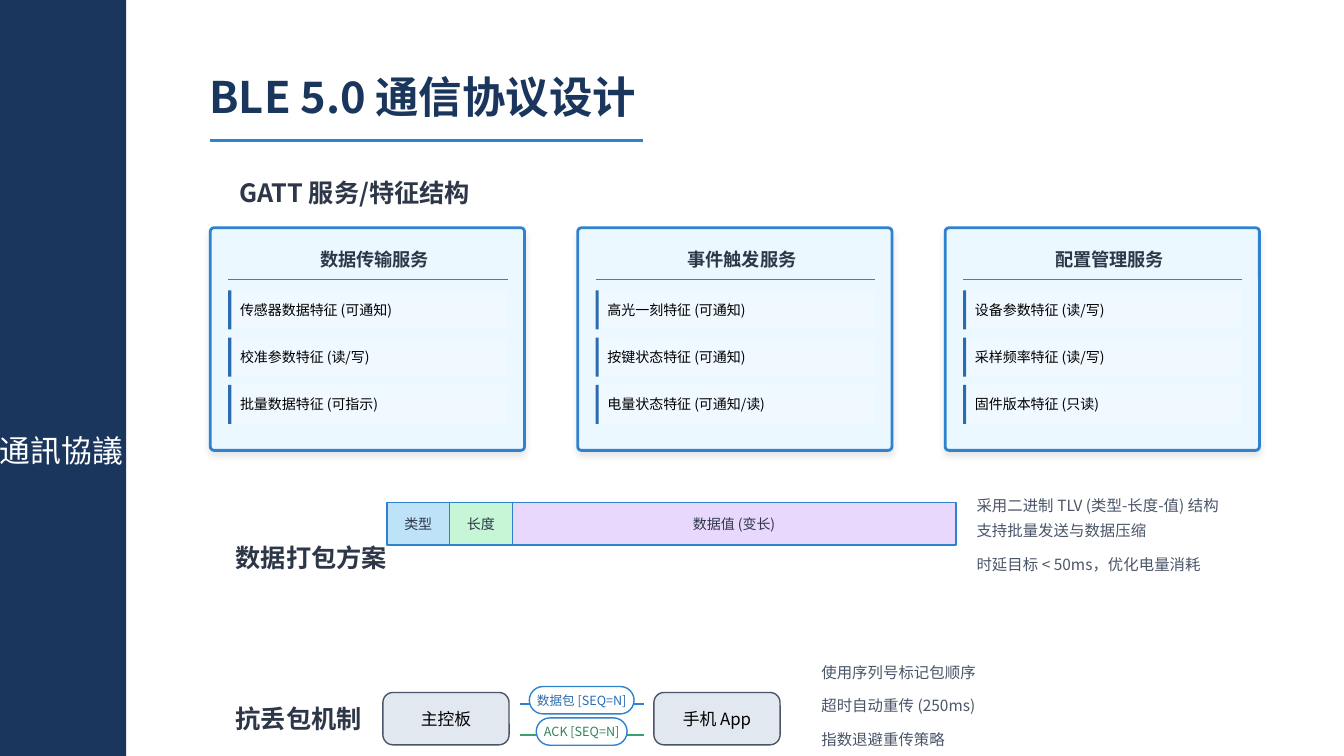
from lxml import etree
from pptx import Presentation
from pptx.dml.color import RGBColor
from pptx.enum.shapes import MSO_CONNECTOR, MSO_SHAPE
from pptx.enum.text import MSO_ANCHOR, MSO_AUTO_SIZE, PP_ALIGN
from pptx.oxml.ns import qn
from pptx.util import Cm, Pt

RECT, ROUNDED = MSO_SHAPE.RECTANGLE, MSO_SHAPE.ROUNDED_RECTANGLE
STRAIGHT = MSO_CONNECTOR.STRAIGHT
LEFT, CENTER = PP_ALIGN.LEFT, PP_ALIGN.CENTER
TOP, MIDDLE = MSO_ANCHOR.TOP, MSO_ANCHOR.MIDDLE
NO_AUTOFIT = MSO_AUTO_SIZE.NONE
FONT = "Noto Sans CJK SC"
COLORS = {
    "navy": "1A365D", "blue": "3182CE", "deep_blue": "2B6CB0",
    "green": "38A169", "deep_green": "2F855A", "ink": "2D3748",
    "gray": "4A5568", "black": "000000", "white": "FFFFFF",
    "card": "EBF8FF", "item": "F0F9FF", "node": "E2E8F0",
    "type": "BEE3F8", "length": "C6F6D5", "value": "E9D8FD",
}
SERVICES = [
    ("数据传输服务", ["传感器数据特征 (可通知)", "校准参数特征 (读/写)", "批量数据特征 (可指示)"]),
    ("事件触发服务", ["高光一刻特征 (可通知)", "按键状态特征 (可通知)", "电量状态特征 (可通知/读)"]),
    ("配置管理服务", ["设备参数特征 (读/写)", "采样频率特征 (读/写)", "固件版本特征 (只读)"]),
]
TLV_FIELDS = [("类型", 1.58, "type"), ("长度", 1.58, "length"), ("数据值 (变长)", 11.18, "value")]
# Each note has its space before in points.
PACKING_NOTES = [("采用二进制 TLV (类型-长度-值) 结构", 0), ("支持批量发送与数据压缩", 5),
                 ("时延目标 < 50ms，优化电量消耗", 11)]
RESEND_NOTES = [("使用序列号标记包顺序", 0), ("超时自动重传 (250ms)", 11), ("指数退避重传策略", 11)]


def rgb(name):
    return RGBColor.from_string(COLORS[name])


def place(shape, left, top, width, height):
    shape.left, shape.top, shape.width, shape.height = Cm(left), Cm(top), Cm(width), Cm(height)


def prepare_frame(shape, anchor=MIDDLE, margin_left=0, margin_top=0, wrap=True):
    frame = shape.text_frame
    frame.auto_size = NO_AUTOFIT
    frame.word_wrap = wrap
    frame.vertical_anchor = anchor
    frame.margin_left, frame.margin_top = Cm(margin_left), Cm(margin_top)
    frame.margin_right = frame.margin_bottom = 0
    return frame


def style(para, size, color, bold=False, align=LEFT):
    para.alignment = align
    font = para.font
    font.name, font.size, font.bold = FONT, Pt(size), bold
    font.color.rgb = rgb(color)
    latin = para._p.pPr.find(qn("a:defRPr")).find(qn("a:latin"))
    east_asian = etree.Element(qn("a:ea"), typeface=FONT)
    latin.addnext(east_asian)


def write(shape, text, size, color, bold=False, align=LEFT, **frame_options):
    para = prepare_frame(shape, **frame_options).paragraphs[0]
    para.text = text
    style(para, size, color, bold, align)


def add_block(page, kind, box, fill, line=None, weight=1, radius=None):
    """Add a flat filled shape; radius is the rounding adjustment."""
    shape = page.shapes.add_shape(kind, *map(Cm, box))
    shape.shadow.inherit = False
    shape.fill.solid()
    shape.fill.fore_color.rgb = rgb(fill)
    if line:
        shape.line.color.rgb = rgb(line)
        shape.line.width = Pt(weight)
    else:
        shape.line.fill.background()
    if radius is not None:
        shape.adjustments[0] = radius
    return shape


def add_rule(page, left, top, width, color, weight):
    rule = page.shapes.add_connector(STRAIGHT, Cm(left), Cm(top), Cm(left + width), Cm(top))
    rule.line.color.rgb = rgb(color)
    rule.line.width = Pt(weight)
    etree.SubElement(rule._element.spPr, qn("a:effectLst"))


def add_soft_shadow(shape):
    effects = shape._element.spPr.find(qn("a:effectLst"))
    shadow = etree.SubElement(effects, qn("a:outerShdw"), blurRad=str(Pt(5)), dist=str(Pt(3)),
                              dir="5400000", algn="ctr", rotWithShape="0")
    color = etree.SubElement(shadow, qn("a:srgbClr"), val=COLORS["black"])
    etree.SubElement(color, qn("a:alpha"), val="10000")


def add_heading(page, text, left, top, width):
    box = page.shapes.add_textbox(Cm(left), Cm(top), Cm(width), Cm(0.91))
    write(box, text, 18, "ink", bold=True, wrap=False)


def add_sidebar(page, width, height):
    sidebar = add_block(page, RECT, (0, 0, width, height), "navy")
    write(sidebar, "通訊協議", 22, "white", margin_top=3.66)


def add_title(page, left, top):
    title = page.shapes.title
    place(title, left, top, 11.76, 1.63)
    write(title, "BLE 5.0 通信协议设计", 31, "navy", bold=True)
    add_rule(page, left, top + 1.94, 10.92, "blue", 2.25)


def add_notes(placeholder, notes, left, top, width):
    place(placeholder, left, top, width, 2.2)
    frame = prepare_frame(placeholder, anchor=TOP)
    for index, (text, gap) in enumerate(notes):
        para = frame.add_paragraph() if index else frame.paragraphs[0]
        para.text = text
        properties = para._p.get_or_add_pPr()
        properties.set("marL", "0")
        properties.set("indent", "0")
        etree.SubElement(properties, qn("a:buNone"))
        para.line_spacing, para.space_before = Pt(13), Pt(gap)
        style(para, 11, "gray")


def add_service_card(page, left, top, name, features):
    card = add_block(page, ROUNDED, (left, top, 7.92, 5.61), "card", "blue", 2, 0.017)
    add_soft_shadow(card)
    write(card, name, 13, "ink", bold=True, align=CENTER, anchor=TOP,
          margin_left=0.36, margin_top=0.48)
    inner = left + 0.45
    add_rule(page, inner, top + 1.31, 7.04, "blue", 0.75)
    for row, feature in enumerate(features):
        row_top = top + 1.58 + row * 1.19
        item = add_block(page, RECT, (inner, row_top, 7.04, 0.98), "item")
        write(item, feature, 10, "black", margin_left=0.3)
        add_block(page, RECT, (inner, row_top, 0.08, 0.98), "deep_blue")


def add_services(page, left, top):
    add_heading(page, "GATT 服务/特征结构", left + 0.74, top - 1.35, 6.27)
    for column, (name, features) in enumerate(SERVICES):
        add_service_card(page, left + column * 9.26, top, name, features)


def add_packing(page, notes_holder, left, top):
    add_heading(page, "数据打包方案", left, top + 0.92, 4.29)
    field_left = left + 3.81
    for label, width, fill in TLV_FIELDS:
        field = add_block(page, RECT, (field_left, top, width, 1.07), fill, "blue")
        write(field, label, 10, "ink", align=CENTER)
        field_left += width
    add_notes(notes_holder, PACKING_NOTES, left + 18.67, top - 0.16, 6.55)


def add_message(page, left, top, width, label, line_color, text_color):
    """Add a message line with its label pill, centred on the line."""
    line_width = 3.12
    add_rule(page, left, top + 0.43, line_width, line_color, 1.6)
    pill_left = left + (line_width - width) / 2
    pill = add_block(page, ROUNDED, (pill_left, top, width, 0.69), "white", "blue", 1, 0.5)
    write(pill, label, 9, text_color, align=CENTER, wrap=False)


def add_resend(page, notes_holder, left, top):
    add_heading(page, "抗丢包机制", left, top + 0.2, 3.66)
    for label, offset in (("主控板", 3.71), ("手机 App", 10.54)):
        node = add_block(page, ROUNDED, (left + offset, top, 3.18, 1.32), "node", "gray", 1, 0.192)
        write(node, label, 12, "black", align=CENTER)
    add_message(page, left + 7.16, top - 0.15, 2.64, "数据包 [SEQ=N]", "blue", "deep_blue")
    add_message(page, left + 7.16, top + 0.64, 2.29, "ACK [SEQ=N]", "green", "deep_green")
    add_notes(notes_holder, RESEND_NOTES, left + 14.76, top - 0.74, 4.6)


def main():
    deck = Presentation()
    deck.slide_width, deck.slide_height = Cm(33.87), Cm(19.05)
    page = deck.slides.add_slide(deck.slide_layouts.get_by_name("Two Content"))
    add_sidebar(page, 3.18, 19.05)
    add_title(page, 5.28, 1.6)
    add_services(page, 5.3, 5.74)
    add_packing(page, page.placeholders[1], 5.94, 12.67)
    add_resend(page, page.placeholders[2], 5.94, 17.45)
    deck.save("out.pptx")


if __name__ == "__main__":
    main()
